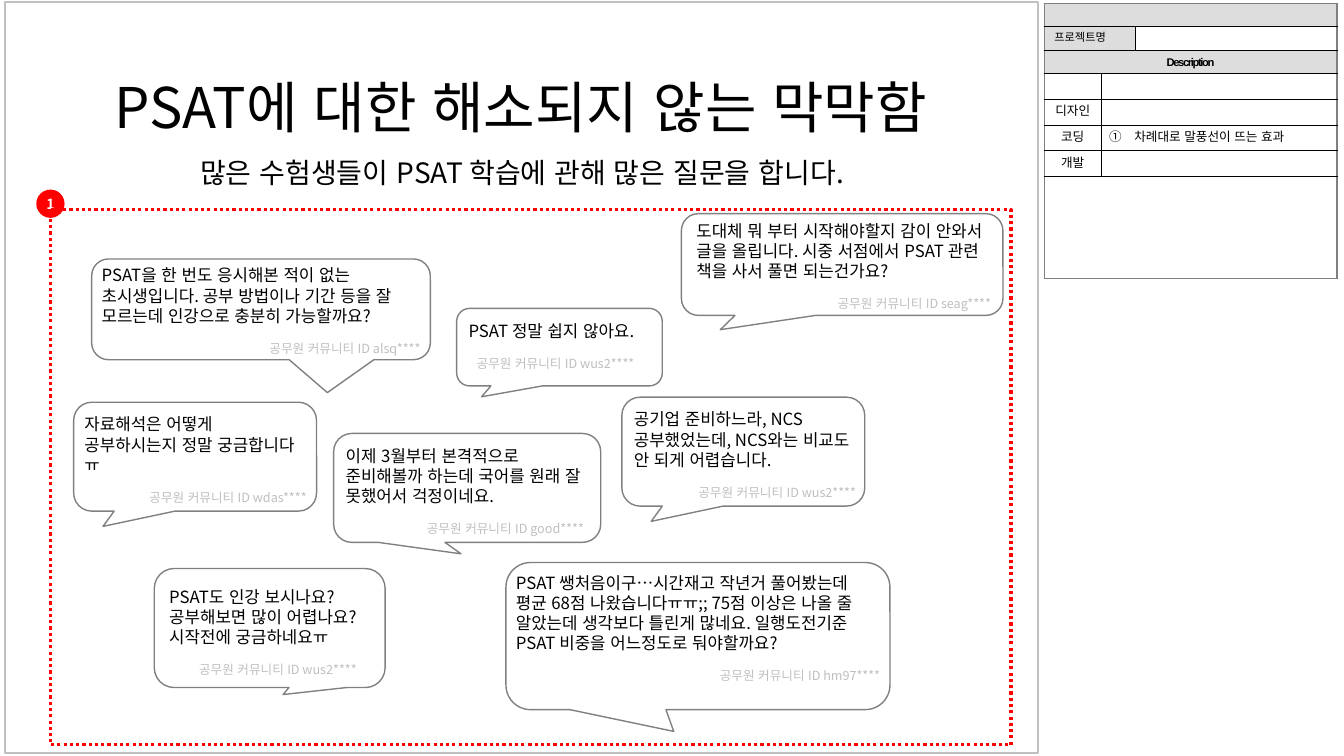
from lxml import etree
from pptx import Presentation
from pptx.dml.color import RGBColor
from pptx.enum import dml, lang, shapes, text
from pptx.oxml import ns
from pptx.util import Pt

FONT = "Noto Sans CJK KR"
GRAY, BLACK, RED = "808080", "000000", "FF0000"


def color(value):
    return RGBColor.from_string(value)


def write(paragraph, words, size, fill=BLACK, align=None, font=FONT, bold=False):
    """Fill a paragraph and give Latin and Korean letters the same font."""
    paragraph.text = words
    paragraph.alignment = align
    paragraph.line_spacing = Pt(size * 1.2)
    for run in paragraph.runs:
        run.font.name, run.font.size, run.font.bold = font, Pt(size), bold
        run.font.color.rgb = color(fill)
        run.font.language_id = lang.MSO_LANGUAGE_ID.KOREAN
        east_asian = etree.SubElement(run._r.rPr, ns.qn("a:ea"))
        east_asian.set("typeface", font)


prs = Presentation()
prs.slide_width, prs.slide_height = Pt(960), Pt(540)
slide = prs.slides.add_slide(prs.slide_layouts[6])
CENTER, RIGHT = text.PP_ALIGN.CENTER, text.PP_ALIGN.RIGHT
MIDDLE = text.MSO_ANCHOR.MIDDLE

page = slide.shapes.add_shape(shapes.MSO_SHAPE.RECTANGLE, Pt(3.6), Pt(1.4), Pt(738), Pt(536.4))
page.shadow.inherit = False
page.fill.background()
page.line.color.rgb = color("C0C0C0")
page.line.width = Pt(1)

# Headings
for words, size, box in [
    ("PSAT에 대한 해소되지 않는 막막함", 40, (46, 48.2, 651.6, 55.4)),
    ("많은 수험생들이 PSAT 학습에 관해 많은 질문을 합니다.", 20, (118.8, 107.3, 508.3, 31.7)),
]:
    heading = slide.shapes.add_textbox(*map(Pt, box)).text_frame
    heading.word_wrap = False
    heading.auto_size = text.MSO_AUTO_SIZE.SHAPE_TO_FIT_TEXT
    write(heading.paragraphs[0], words, size, align=CENTER)

# Questions: lines, writer, wrapping, text box, bubble, tail tip
TAIL = (-0.379, 0.64)
questions = [
    (["PSAT을 한 번도 응시해본 적이 없는 초시생입니다. 공부 방법이나 기간 등을 잘 모르는데 인강으로 충분히 가능할까요?"],
     "alsq", True, (65.5, 185.8, 241.9, 72.7), (65.5, 185, 241.9, 72), (0.196, 0.826)),
    (["PSAT 쌩처음이구…시간재고 작년거 풀어봤는데 평균 68점 나왔습니다ㅠㅠ;; 75점 이상은 나올 줄 알았는데 "
      "생각보다 틀린게 많네요. 일행도전기준 PSAT 비중을 어느정도로 둬야할까요?"],
     "hm97", True, (361.4, 405.4, 274.3, 87.1), (361.4, 401.8, 274.3, 105.1), (-0.063, 0.648)),
    (["PSAT도 인강 보시나요?", "공부해보면 많이 어렵나요?", "시작전에 궁금하네요ㅠ"],
     "wus2", False, (113.8, 415.4, 158.4, 72.7), (110.2, 406.1, 164.9, 85), (0.058, 0.559)),
    (["PSAT 정말 쉽지 않아요."],
     "wus2", False, (327.6, 225.4, 144, 43.9), (326.2, 220.3, 146.9, 55.4), TAIL),
    (["이제 3월부터 본격적으로 준비해볼까 하는데 국어를 원래 잘 못했어서 걱정이네요."],
     "good", True, (239.8, 314.6, 184.3, 72.7), (238.3, 309.6, 190.8, 77.8), (-0.023, 0.605)),
    (["공기업 준비하느라, NCS 공부했었는데, NCS와는 비교도 안 되게 어렵습니다."],
     "wus2", True, (445.7, 288.7, 172.8, 72.7), (444.2, 283.7, 173.5, 77.8), TAIL),
    (["자료해석은 어떻게 공부하시는지 정말 궁금합니다 ㅠ"],
     "wdas", True, (53.3, 292.3, 172.8, 72.7), (52.6, 287.3, 173.5, 77.8), TAIL),
    (["도대체 뭐 부터 시작해야할지 감이 안와서 글을 올립니다. 시중 서점에서 PSAT 관련 책을 사서 풀면 되는건가요?"],
     "seag", True, (490.3, 154.1, 224.6, 72.7), (486.7, 152.6, 229.7, 72.7), TAIL),
]
for lines, writer, wraps, box, bubble_box, tail in questions:
    question = slide.shapes.add_textbox(*map(Pt, box)).text_frame
    question.word_wrap = wraps
    question.auto_size = text.MSO_AUTO_SIZE.SHAPE_TO_FIT_TEXT
    write(question.paragraphs[0], lines[0], 12)
    for line in lines[1:]:
        write(question.add_paragraph(), line, 12)
    credit = question.add_paragraph()
    write(credit, f"공무원 커뮤니티 ID {writer}****", 9, "BFBFBF", RIGHT)
    credit.space_before = Pt(10.8)

    bubble = slide.shapes.add_shape(
        shapes.MSO_SHAPE.ROUNDED_RECTANGULAR_CALLOUT, *map(Pt, bubble_box))
    bubble.shadow.inherit = False
    bubble.adjustments[0], bubble.adjustments[1] = tail
    bubble.adjustments[2] = 0.167
    bubble.fill.background()
    bubble.line.color.rgb = color(GRAY)
    bubble.line.width = Pt(1)

# Marked area and its number
badge = slide.shapes.add_shape(shapes.MSO_SHAPE.OVAL, Pt(25.9), Pt(135.4), Pt(20.2), Pt(20.2))
badge.shadow.inherit = False
badge.fill.solid()
badge.fill.fore_color.rgb = color(RED)
badge.line.fill.background()
number = badge.text_frame
number.margin_left = number.margin_right = number.margin_top = number.margin_bottom = 0
number.vertical_anchor = MIDDLE
write(number.paragraphs[0], "1", 10, "FFFFFF", CENTER, bold=True)

area = slide.shapes.add_shape(shapes.MSO_SHAPE.RECTANGLE, Pt(36), Pt(149.8), Pt(686.2), Pt(382.3))
area.shadow.inherit = False
area.fill.background()
area.line.color.rgb = color(RED)
area.line.width = Pt(2.25)
area.line.dash_style = dml.MSO_LINE.ROUND_DOT

# Description table
widths = [40.6, 24.5, 144]
heights = [16.7, 17, 16.7, 18.3, 18.3, 18.3, 18.3, 73.4]
table = slide.shapes.add_table(
    8, 3, Pt(745.9), Pt(2.2), Pt(sum(widths)), Pt(sum(heights))).table
for column, width in zip(table.columns, widths):
    column.width = Pt(width)
for row, height in zip(table.rows, heights):
    row.height = Pt(height)
for row in (0, 2, 7):
    table.cell(row, 0).merge(table.cell(row, 2))
table.cell(1, 0).merge(table.cell(1, 1))
for row in range(3, 7):
    table.cell(row, 1).merge(table.cell(row, 2))

# Words, size, alignment, font, bold, side margin
entries = {
    (1, 0): ("프로젝트명", 8, None, FONT, False, 7.2),
    (2, 0): ("Description", 8, CENTER, "Arial", True, 7.2),
    (4, 0): ("디자인", 9, CENTER, FONT, False, 2.9),
    (5, 0): ("코딩", 9, CENTER, FONT, False, 2.9),
    (5, 1): ("차례대로 말풍선이 뜨는 효과", 9, None, FONT, False, 5.8),
    (6, 0): ("개발", 9, CENTER, FONT, False, 2.9),
}
shaded = [(0, 0), (1, 0), (2, 0)]
for row in range(8):
    for col in range(3):
        cell = table.cell(row, col)
        if cell.is_spanned:
            continue
        cell.vertical_anchor = MIDDLE
        cell.margin_top = cell.margin_bottom = Pt(2)
        outer = {"L": col == 0, "R": col + cell.span_width == 3, "T": row == 0, "B": row == 7}
        for side, is_outer in outer.items():
            border = etree.SubElement(
                cell._tc.get_or_add_tcPr(), ns.qn(f"a:ln{side}"), w=str(Pt(1 if is_outer else 0.25)))
            paint = etree.SubElement(border, ns.qn("a:solidFill"))
            etree.SubElement(paint, ns.qn("a:srgbClr"), val=GRAY if is_outer else BLACK)
        cell.fill.solid()
        cell.fill.fore_color.rgb = color("DDDDDD" if (row, col) in shaded else "FFFFFF")
        paragraph = cell.text_frame.paragraphs[0]
        if (row, col) in entries:
            words, size, align, font, bold, margin = entries[row, col]
            cell.margin_left = cell.margin_right = Pt(margin)
            write(paragraph, words, size, align=align, font=font, bold=bold)
        else:
            etree.SubElement(paragraph._p, ns.qn("a:endParaRPr"), sz="800")

table.cell(2, 0).text_frame.paragraphs[0].runs[0]._r.rPr.set("spc", "-100")
effect = table.cell(5, 1).text_frame.paragraphs[0]._p.get_or_add_pPr()
effect.set("marL", str(Pt(18)))
effect.set("indent", str(Pt(-18)))
etree.SubElement(effect, ns.qn("a:buAutoNum"), type="circleNumDbPlain")

prs.save("out.pptx")
